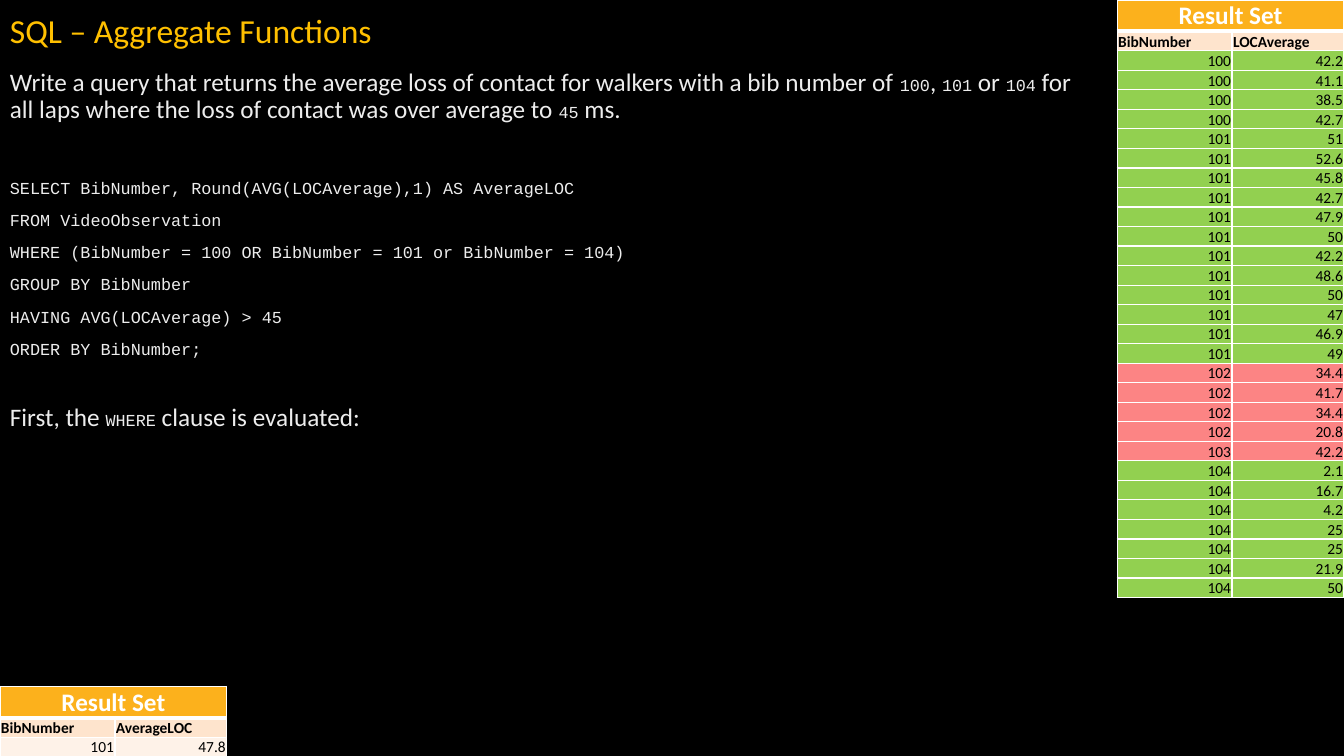
from pptx import Presentation
from pptx.dml.color import RGBColor
from pptx.enum.text import MSO_ANCHOR, PP_ALIGN
from pptx.oxml import parse_xml
from pptx.oxml.ns import nsdecls
from pptx.util import Inches, Pt

COLORS = {
    "background": "000000", "title": "FFC000", "white": "FFFFFF", "black": "000000",
    "banner": "FCB11C", "header": "FEE4CD", "plain": "FEF2E8",
    "kept": "92D050", "dropped": "FC8484",
}
TEXT_GRADIENT = [(0, "BFBFBF"), (34, "EDEDED"), (100, "FFFFFF")]
PROSE = {"name": "Calibri", "size": Pt(18)}
CODE = {"name": "Courier New", "size": Pt(12)}
BANNER = {"name": "Calibri", "size": Pt(18), "bold": True}
HEADER = {"name": "Calibri", "size": Pt(11), "bold": True}
VALUE = {"name": "Calibri", "size": Pt(11), "bold": False}

QUESTION = [
    ("Write a query that returns the average loss of contact for walkers "
     "with a bib number of ", PROSE),
    ("100", CODE), (", ", PROSE), ("101", CODE), (" or ", PROSE), ("104", CODE),
    (" for all laps where the loss of contact was over average to ", PROSE),
    ("45", CODE), (" ms.", PROSE),
]
QUERY = [
    "SELECT BibNumber, Round(AVG(LOCAverage),1) AS AverageLOC",
    "FROM VideoObservation",
    "WHERE (BibNumber = 100 OR BibNumber = 101 or BibNumber = 104)",
    "GROUP BY BibNumber",
    "HAVING AVG(LOCAverage) > 45",
    "ORDER BY BibNumber;",
]
EXPLANATION = [("First, the ", PROSE), ("WHERE", CODE), (" clause is evaluated:", PROSE)]

LAPS = {
    100: [42.2, 41.1, 38.5, 42.7],
    101: [51, 52.6, 45.8, 42.7, 47.9, 50, 42.2, 48.6, 50, 47, 46.9, 49],
    102: [34.4, 41.7, 34.4, 20.8],
    103: [42.2],
    104: [2.1, 16.7, 4.2, 25, 25, 21.9, 50],
}
SELECTED_BIBS = {100, 101, 104}


def color(name):
    return RGBColor.from_string(COLORS[name])


def apply_format(target, values):
    for attribute, value in values.items():
        setattr(target, attribute, value)


def add_text_box(slide, left, top, width, height, anchor):
    box = slide.shapes.add_textbox(Inches(left), Inches(top), Inches(width), Inches(height))
    apply_format(box.text_frame, {"word_wrap": True, "vertical_anchor": anchor})
    return box.text_frame


def add_title(slide, left, top, width, height):
    frame = add_text_box(slide, left, top, width, height, MSO_ANCHOR.MIDDLE)
    paragraph = frame.paragraphs[0]
    paragraph.line_spacing = 0.9
    run = paragraph.add_run()
    run.text = "SQL – Aggregate Functions"
    apply_format(run.font, {"name": "Calibri", "size": Pt(24)})
    run.font.fill.solid()
    run.font.fill.fore_color.rgb = color("title")


def fill_with_gradient(run):
    stops = "".join(
        f'<a:gs pos="{position * 1000}"><a:srgbClr val="{value}"/></a:gs>'
        for position, value in TEXT_GRADIENT)
    run._r.get_or_add_rPr().insert(0, parse_xml(
        f'<a:gradFill {nsdecls("a")}><a:gsLst>{stops}</a:gsLst>'
        '<a:lin ang="4800000" scaled="0"/></a:gradFill>'))


def add_body(slide, left, top, width, height):
    frame = add_text_box(slide, left, top, width, height, MSO_ANCHOR.TOP)
    # Space before each paragraph in points, with wider gaps around the query
    content = [(0, QUESTION)]
    content += [(10 if index else 40, [(line, CODE)]) for index, line in enumerate(QUERY)]
    content.append((33, EXPLANATION))
    for index, (space, pieces) in enumerate(content):
        paragraph = frame.add_paragraph() if index else frame.paragraphs[0]
        apply_format(paragraph, {"line_spacing": 0.9, "space_before": Pt(space)})
        for text, font in pieces:
            run = paragraph.add_run()
            run.text = text
            apply_format(run.font, font)
            fill_with_gradient(run)


def set_borders(cell, widths):
    properties = cell._tc.get_or_add_tcPr()
    for side in "LRTB":
        properties.append(parse_xml(
            f'<a:ln{side} {nsdecls("a")} w="{Pt(widths.get(side, 1))}">'
            f'<a:solidFill><a:srgbClr val="{COLORS["white"]}"/></a:solidFill></a:ln{side}>'))


def style_cell(cell, text, font, text_color, fill, alignment, borders):
    apply_format(cell, {
        "margin_left": Inches(0.01), "margin_right": Inches(0.01),
        "margin_top": Inches(0.01), "margin_bottom": 0,
        "vertical_anchor": MSO_ANCHOR.BOTTOM,
    })
    set_borders(cell, borders)
    cell.fill.solid()
    cell.fill.fore_color.rgb = color(fill)
    paragraph = cell.text_frame.paragraphs[0]
    paragraph.alignment = alignment
    apply_format(paragraph.font, font)
    if text:
        run = paragraph.add_run()
        run.text = text
        apply_format(run.font, font)
        run.font.color.rgb = color(text_color)


def add_result_set(slide, left, top, width, height, headings, records):
    """Each record is (bib number, value, fill name)."""
    shape = slide.shapes.add_table(len(records) + 2, 2, Inches(left), Inches(top),
                                   Inches(width), Inches(height))
    table = shape.table
    apply_format(table, {"first_row": False, "horz_banding": False})
    for column, share in zip(table.columns, (1.14, 1.11)):
        column.width = Inches(width * share / 2.25)
    for index, row in enumerate(table.rows):
        row.height = Inches(0.19 if index else 0.31)

    # Banner and column headings
    table.cell(0, 0).merge(table.cell(0, 1))
    for column, text in enumerate(("Result Set", "")):
        style_cell(table.cell(0, column), text, BANNER, "white", "banner",
                   PP_ALIGN.CENTER, {"B": 3})
    for column, text in enumerate(headings):
        style_cell(table.cell(1, column), text, HEADER, "black", "header",
                   PP_ALIGN.LEFT, {"T": 3})

    # Records
    for row, (*values, fill) in enumerate(records, start=2):
        for column, value in enumerate(values):
            style_cell(table.cell(row, column), str(value), VALUE, "black", fill,
                       PP_ALIGN.RIGHT, {})


def main():
    presentation = Presentation()
    presentation.slide_width = Inches(13.33)
    presentation.slide_height = Inches(7.5)
    slide = presentation.slides.add_slide(presentation.slide_layouts[6])
    slide.background.fill.solid()
    slide.background.fill.fore_color.rgb = color("background")

    add_title(slide, 0, 0, 13.33, 0.64)
    add_body(slide, 0, 0.64, 10.75, 3.75)
    add_result_set(slide, 0, 6.81, 2.25, 0.69, ("BibNumber", "AverageLOC"),
                   [(101, 47.8, "plain")])
    laps = [(bib, value, "kept" if bib in SELECTED_BIBS else "dropped")
            for bib, values in LAPS.items() for value in values]
    add_result_set(slide, 11.08, 0, 2.25, 5.83, ("BibNumber", "LOCAverage"), laps)
    presentation.save("out.pptx")


if __name__ == "__main__":
    main()
